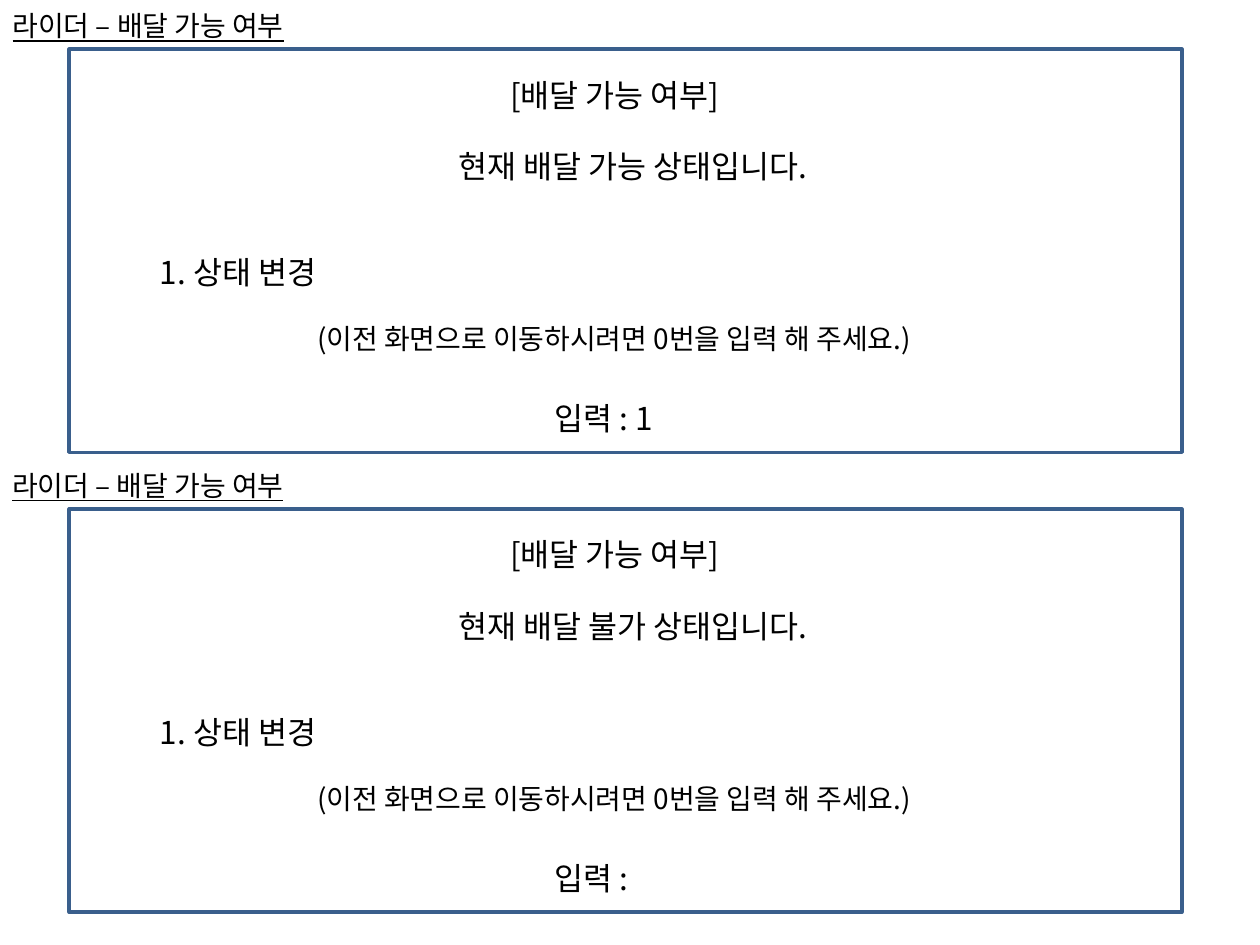
from pptx import Presentation
from pptx.dml.color import RGBColor
from pptx.enum.shapes import MSO_SHAPE
from pptx.enum.text import MSO_ANCHOR, MSO_AUTO_SIZE, PP_ALIGN
from pptx.oxml.ns import qn
from pptx.util import Inches, Pt

RECT = MSO_SHAPE.RECTANGLE
TOP = MSO_ANCHOR.TOP
NO_FIT = MSO_AUTO_SIZE.NONE
LEFT, CENTER = PP_ALIGN.LEFT, PP_ALIGN.CENTER
TITLE_ONLY = 5

COLORS = {"text": "000000", "frame": "3A5F8C"}
FONT = "Noto Sans CJK KR"
SCREEN_PITCH = 3.65


class ScreenSlide:
    """Style and current slide for console screen layouts."""

    def __init__(self, prs):
        self.s = prs.slides.add_slide(prs.slide_layouts[TITLE_ONLY])

    def frame(self, x, y, w, h):
        sp = self.s.shapes.add_shape(RECT, Inches(x), Inches(y), Inches(w), Inches(h))
        sp.shadow.inherit = False
        sp.fill.background()
        sp.line.color.rgb = RGBColor.from_string(COLORS["frame"])
        sp.line.width = Pt(2)

    def paragraph(self, p, text, size=18, underline=False, align=LEFT, indent=0, before=0):
        p.alignment = align
        p.space_before = Pt(before)
        if indent:
            p_pr = p._p.get_or_add_pPr()
            p_pr.set("marL", str(Inches(indent)))
            p_pr.set("indent", "0")
        r = p.add_run()
        r.text = text
        font_format = {"name": FONT, "size": Pt(size), "underline": underline}
        for name, value in font_format.items():
            setattr(r.font, name, value)
        r.font.color.rgb = RGBColor.from_string(COLORS["text"])
        # Hangul uses the East Asian font slot
        ea = r._r.get_or_add_rPr().makeelement(qn("a:ea"), {"typeface": FONT})
        r.font._element.append(ea)

    def fill_text(self, sp, paragraphs):
        tf = sp.text_frame
        frame_format = {"word_wrap": True, "auto_size": NO_FIT, "vertical_anchor": TOP}
        for name, value in frame_format.items():
            setattr(tf, name, value)
        for i, options in enumerate(paragraphs):
            p = tf.add_paragraph() if i else tf.paragraphs[0]
            self.paragraph(p, **options)

    def text(self, x, y, w, h, *paragraphs):
        sp = self.s.shapes.add_textbox(Inches(x), Inches(y), Inches(w), Inches(h))
        self.fill_text(sp, paragraphs)

    def title(self, x, y, w, h, **options):
        sp = self.s.shapes.title
        sp.left, sp.top, sp.width, sp.height = map(Inches, (x, y, w, h))
        self.fill_text(sp, [options])


def add_screen(slide, top, status, prompt):
    """Draw one console screen below its heading."""
    slide.frame(0.55, top + 0.37, 8.83, 3.2)
    slide.text(1.17, top + 0.53, 7.42, 0.71,
               {"text": "[배달 가능 여부]", "align": CENTER})
    slide.text(1.17, top + 1.1, 7.42, 1.62,
               {"text": status, "indent": 2.37},
               {"text": "1. 상태 변경", "before": 39})
    slide.text(2.42, top + 2.48, 5.94, 0.37,
               {"text": "(이전 화면으로 이동하시려면 0번을 입력 해 주세요.)", "size": 16})
    slide.text(4.3, top + 3.1, 2.58, 0.4, {"text": prompt})


def main():
    prs = Presentation()
    prs.slide_width, prs.slide_height = Inches(10), Inches(7.5)
    slide = ScreenSlide(prs)

    # Headings
    heading = {"text": "라이더 – 배달 가능 여부", "size": 16, "underline": True}
    first_top = 0.02
    second_top = first_top + SCREEN_PITCH
    slide.title(0, first_top, 4.14, 0.37, **heading)
    slide.text(0, second_top, 4.14, 0.37, heading)

    # Screens before and after the status change
    add_screen(slide, first_top, "현재 배달 가능 상태입니다.", "입력 : 1")
    add_screen(slide, second_top, "현재 배달 불가 상태입니다.", "입력 :")

    prs.save("out.pptx")


if __name__ == "__main__":
    main()
